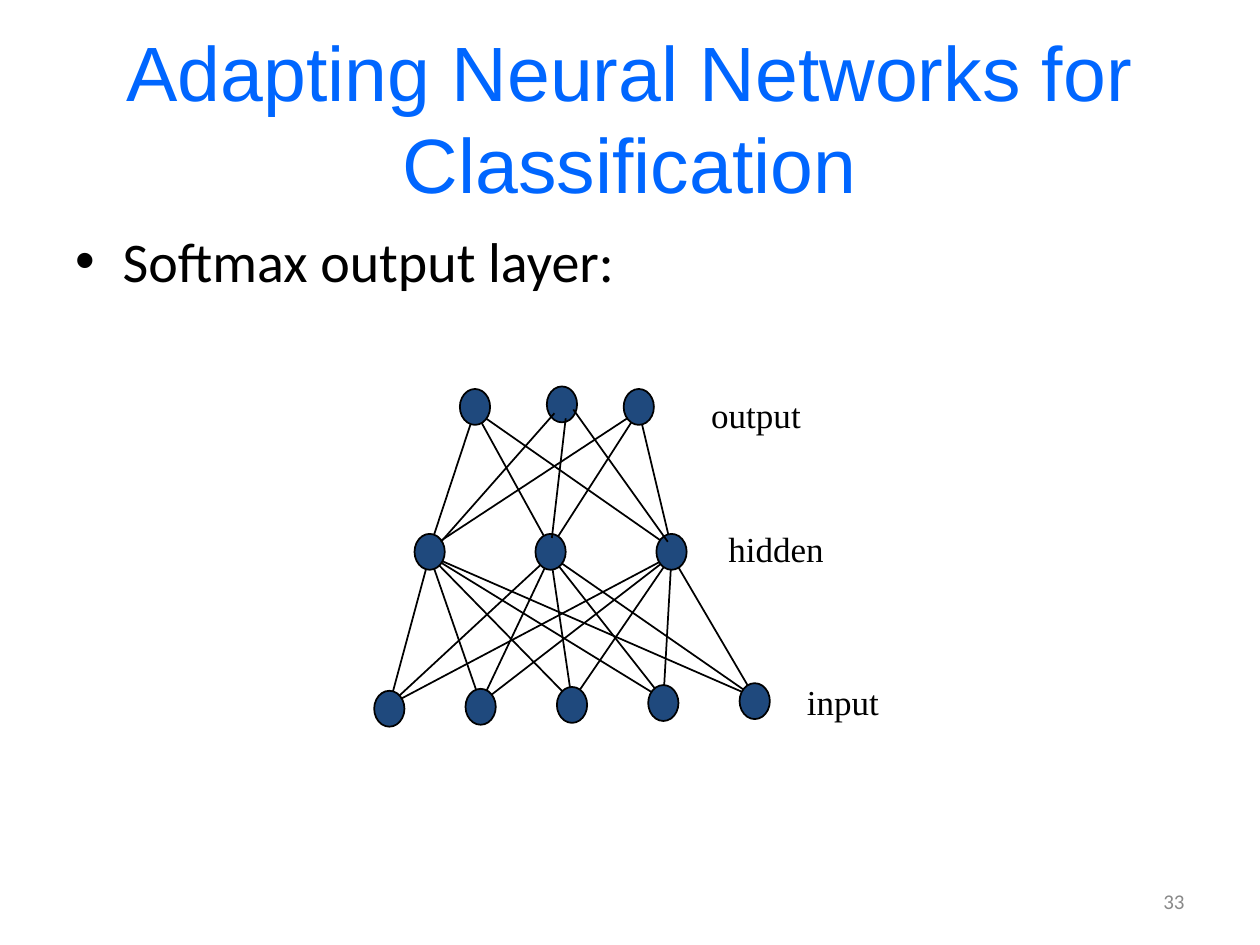
from dataclasses import dataclass
from itertools import product
from typing import NamedTuple

from lxml import etree
from pptx import Presentation
from pptx.dml.color import RGBColor
from pptx.enum.shapes import MSO_CONNECTOR, MSO_SHAPE
from pptx.enum.text import MSO_ANCHOR, MSO_AUTO_SIZE, PP_ALIGN
from pptx.oxml.ns import qn
from pptx.util import Inches, Pt

LEFT, CENTER, RIGHT = PP_ALIGN.LEFT, PP_ALIGN.CENTER, PP_ALIGN.RIGHT
TOP, MIDDLE = MSO_ANCHOR.TOP, MSO_ANCHOR.MIDDLE
NO_FIT, GROW = MSO_AUTO_SIZE.NONE, MSO_AUTO_SIZE.SHAPE_TO_FIT_TEXT
STRAIGHT = MSO_CONNECTOR.STRAIGHT
OVAL = MSO_SHAPE.OVAL

COLS, ROWS = 100, 75
CELL = Inches(0.1)
NODE_W, NODE_H = 2.4, 2.85
PULL = 0.3


@dataclass(frozen=True)
class Theme:
    title: str = "0066FF"
    ink: str = "000000"
    muted: str = "898989"
    node: str = "1F497D"
    title_font: str = "Arial"
    body_font: str = "Calibri"
    label_font: str = "Times New Roman"
    title_size: int = 44
    body_size: int = 32
    label_size: int = 20
    number_size: int = 12
    line_width: int = 1


class Box(NamedTuple):
    col: float
    row: float
    cols: float
    rows: float


class Point(NamedTuple):
    col: float
    row: float


@dataclass(frozen=True)
class Layer:
    label: str
    label_box: Box
    nodes: list[Point]


THEME = Theme()

OUTPUT = Layer("output", Box(55.4, 30.7, 9.2, 4.4),
               [Point(37.7, 32.3), Point(44.6, 32.1), Point(50.7, 32.3)])
HIDDEN = Layer("hidden", Box(56.8, 41.4, 9.6, 4.5),
               [Point(34.1 + 9.6 * i, 43.8) for i in range(3)])
INPUT = Layer("input", Box(63, 53.5, 7.8, 4.5),
              [Point(30.9 + 7.25 * i, 56.25 - 0.15 * i) for i in range(5)])
LAYERS = [OUTPUT, HIDDEN, INPUT]

FRONT_EDGES = [
    (Point(44, 32.8), Point(35, 43)),
    (Point(44.9, 33.2), Point(43.8, 42.7)),
    (Point(45.5, 32.5), Point(53, 43)),
]


def cells(n: float) -> int:
    return round(n * CELL)


def rgb(color: str) -> RGBColor:
    return RGBColor.from_string(color)


def place(sp, box: Box) -> None:
    sp.left, sp.top, sp.width, sp.height = map(cells, box)


def new_box(shapes, box: Box):
    return shapes.add_textbox(*map(cells, box))


def write(sp, text: str, *, font: str, size: int, color: str,
          align=LEFT, anchor=TOP, wrap: bool = True, fit=NO_FIT,
          bullet: str = "", indent: float = 0) -> None:
    tf = sp.text_frame
    tf.word_wrap = wrap
    tf.auto_size = fit
    tf.vertical_anchor = anchor
    p = tf.paragraphs[0]
    p.alignment = align
    if bullet:
        p_pr = p._p.get_or_add_pPr()
        p_pr.set("marL", str(cells(indent)))
        p_pr.set("indent", str(-cells(indent)))
        etree.SubElement(p_pr, qn("a:buFont")).set("typeface", THEME.title_font)
        etree.SubElement(p_pr, qn("a:buChar")).set("char", bullet)
    r = p.add_run()
    r.text = text
    r.font.name = font
    r.font.size = Pt(size)
    r.font.color.rgb = rgb(color)


def outline(line) -> None:
    line.color.rgb = rgb(THEME.ink)
    line.width = Pt(THEME.line_width)


def draw_edge(shapes, start: Point, end: Point) -> None:
    cxn = shapes.add_connector(STRAIGHT, *map(cells, (*start, *end)))
    outline(cxn.line)
    etree.SubElement(cxn._element.spPr, qn("a:effectLst"))


def draw_node(shapes, center: Point) -> None:
    box = Box(center.col - NODE_W / 2, center.row - NODE_H / 2, NODE_W, NODE_H)
    sp = shapes.add_shape(OVAL, *map(cells, box))
    sp.shadow.inherit = False
    sp.fill.solid()
    sp.fill.fore_color.rgb = rgb(THEME.node)
    outline(sp.line)


def draw_network(shapes) -> None:
    front_node = OUTPUT.nodes[1]
    for upper, lower in zip(LAYERS, LAYERS[1:]):
        for a, b in product(upper.nodes, lower.nodes):
            if a != front_node:
                draw_edge(shapes, Point(a.col, a.row + PULL),
                          Point(b.col, b.row - PULL))
    for layer in LAYERS:
        write(new_box(shapes, layer.label_box), layer.label,
              font=THEME.label_font, size=THEME.label_size, color=THEME.ink,
              align=CENTER, wrap=False, fit=GROW)
        for node in layer.nodes:
            draw_node(shapes, node)
    for start, end in FRONT_EDGES:
        draw_edge(shapes, start, end)


def main() -> None:
    prs = Presentation()
    prs.slide_width, prs.slide_height = cells(COLS), cells(ROWS)
    s = prs.slides.add_slide(prs.slide_layouts[5])

    title = s.shapes.title
    place(title, Box(5, 3, 90, 12.5))
    write(title, "Adapting Neural Networks for Classification",
          font=THEME.title_font, size=THEME.title_size, color=THEME.title,
          align=CENTER, anchor=MIDDLE)
    write(new_box(s.shapes, Box(5, 17.5, 90, 49.5)), "Softmax output layer:",
          font=THEME.body_font, size=THEME.body_size, color=THEME.ink,
          bullet="•", indent=3.75)
    write(new_box(s.shapes, Box(71.7, 69.5, 23.3, 4)), "33",
          font=THEME.body_font, size=THEME.number_size, color=THEME.muted,
          align=RIGHT, anchor=MIDDLE)
    draw_network(s.shapes.add_group_shape().shapes)

    prs.save("out.pptx")


if __name__ == "__main__":
    main()
